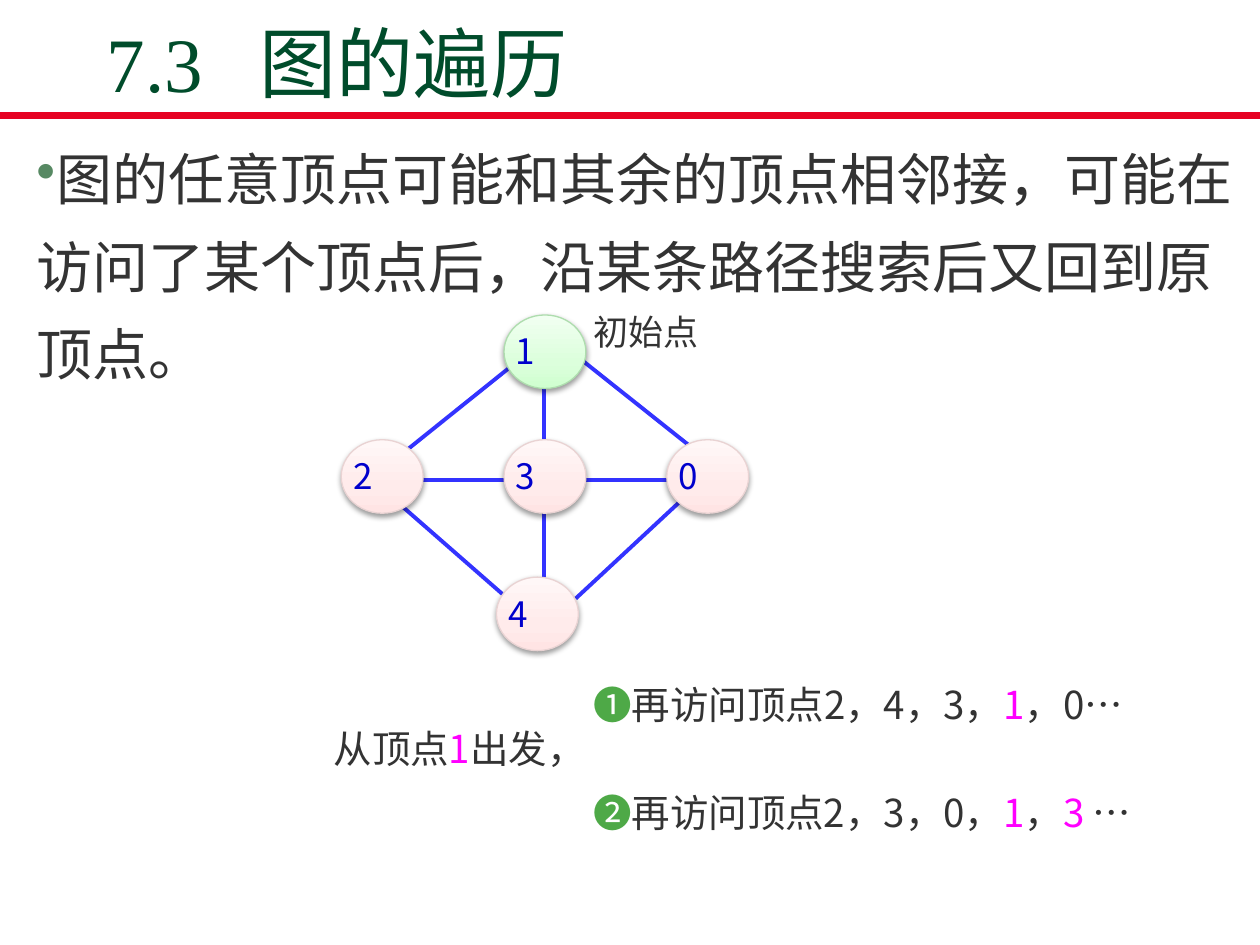
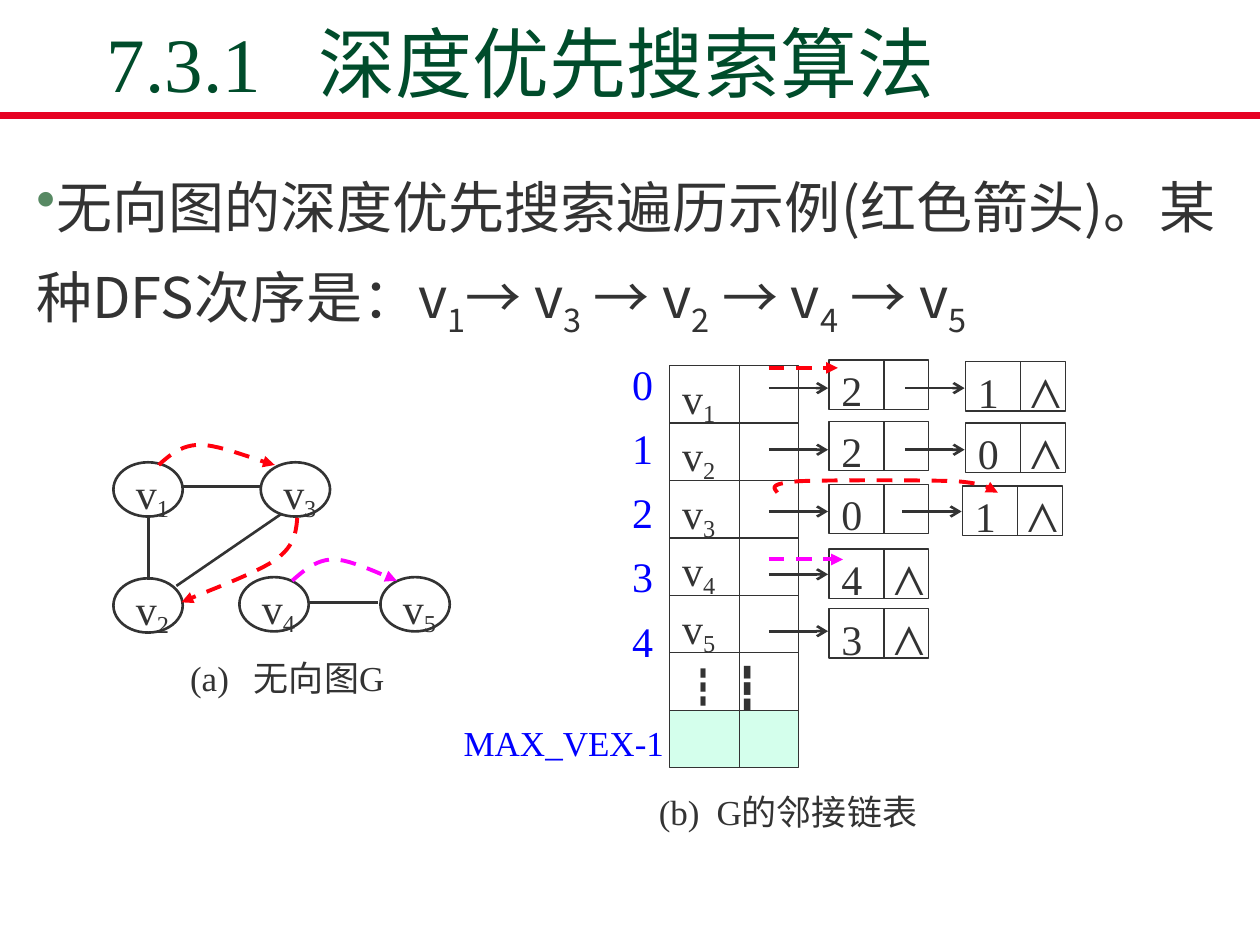
from copy import deepcopy

from lxml.etree import SubElement
from pptx import Presentation
from pptx.dml.color import RGBColor
from pptx.enum.dml import MSO_LINE
from pptx.enum.shapes import MSO_CONNECTOR, MSO_SHAPE
from pptx.enum.text import MSO_ANCHOR
from pptx.oxml.ns import qn
from pptx.util import Pt

INK = RGBColor(0x33, 0x33, 0x33)
TITLE_GREEN = RGBColor(0x00, 0x4C, 0x2B)
RULE_RED = RGBColor(0xE6, 0x02, 0x23)
EDGE_BLUE = RGBColor(0x33, 0x33, 0xFF)
LABEL_BLUE = RGBColor(0x00, 0x00, 0xCC)
INDEX_BLUE = RGBColor(0x00, 0x00, 0xFF)
MAGENTA = RGBColor(0xFF, 0x00, 0xFF)
STEP_GREEN = RGBColor(0x4E, 0xA9, 0x47)
ARROW_RED = RGBColor(0xFF, 0x00, 0x0D)
MINT = RGBColor(0xD4, 0xFF, 0xEC)
START_LINE = RGBColor(0xAE, 0xDD, 0xAE)
START_STOPS = [RGBColor(0xCF, 0xFF, 0xCF), RGBColor(0xDC, 0xFF, 0xDC), RGBColor(0xF1, 0xFF, 0xF1)]
NODE_LINE = RGBColor(0xE9, 0xD3, 0xD3)
NODE_STOPS = [RGBColor(0xFF, 0xE4, 0xE4), RGBColor(0xFF, 0xEB, 0xEB), RGBColor(0xFF, 0xF7, 0xF7)]
SANS = "Noto Sans CJK SC"
SERIF = "Times New Roman"


def write(shape, runs, size, name=SERIF, spacing=1.2, wrap=False, tab=None, bullet=False, drop=20):
    frame = shape.text_frame
    frame.word_wrap = wrap
    frame.vertical_anchor = MSO_ANCHOR.TOP if wrap else MSO_ANCHOR.MIDDLE
    paragraph = frame.paragraphs[0]
    if paragraph.runs:
        paragraph = frame.add_paragraph()
        paragraph.space_before = Pt(5)
    paragraph.line_spacing = spacing
    properties = paragraph._p.get_or_add_pPr()
    properties.set("algn", "l")
    if bullet:
        bullet_color = SubElement(properties, qn("a:buClr"))
        SubElement(bullet_color, qn("a:srgbClr"), val="578963")
        SubElement(properties, qn("a:buChar"), char="•")
    if tab:
        tabs = SubElement(properties, qn("a:tabLst"))
        SubElement(tabs, qn("a:tab"), pos=str(Pt(tab)), algn="l")
    paragraph.font.size = Pt(size)
    paragraph.font.name = name
    SubElement(properties.find(qn("a:defRPr")), qn("a:ea"), typeface=SANS)
    for text, color in runs:
        run = paragraph.add_run()
        run.text = text.lstrip("_")
        run.font.color.rgb = color
        if text.startswith("_"):
            run._r.get_or_add_rPr().set("baseline", str(-1000 * drop))


def style_line(shape, color, width, head=None, dashed=False):
    shape.line.color.rgb = color
    shape.line.width = Pt(width)
    if dashed:
        shape.line.dash_style = MSO_LINE.DASH
    properties = shape.element.spPr
    if head:
        SubElement(properties.find(qn("a:ln")), qn("a:tailEnd"), type=head)
    SubElement(properties, qn("a:effectLst"))


presentation = Presentation()
presentation.slide_width = Pt(720)
presentation.slide_height = Pt(540)

pages = [
    ("7.3\t图的遍历", 87.5, (13.7, 67.7, 698.4, 158.4),
     ["图的任意顶点可能和其余的顶点相邻接，可能在访问了某个顶点后，沿某条路径搜索后又回到原顶点。"]),
    ("7.3.1\t深度优先搜索算法", 121, (13.7, 83.5, 692, 108),
     ["无向图的深度优先搜索遍历示例(红色箭头)。某种DFS次序是：v", "_1", "→ v", "_3",
      " → v", "_2", " → v", "_4", " → v", "_5"]),
]
slides = []
for title_text, title_tab, body_box, body_parts in pages:
    slide = presentation.slides.add_slide(presentation.slide_layouts[6])
    slides.append(slide)
    rule = slide.shapes.add_connector(MSO_CONNECTOR.STRAIGHT, *map(Pt, (0, 66, 720, 66)))
    style_line(rule, RULE_RED, 4.5)
    title = slide.shapes.add_textbox(*map(Pt, (54, 18.2, 612, 46.8)))
    write(title, [(title_text, TITLE_GREEN)], 44, spacing=1.0, wrap=True, tab=title_tab)
    title.text_frame.vertical_anchor = MSO_ANCHOR.BOTTOM
    body = slide.shapes.add_textbox(*map(Pt, body_box))
    write(body, [(part, INK) for part in body_parts], 32, SANS, 1.3, wrap=True, bullet=True, drop=25)
traversal, depth_first = slides

edges = [
    (237.6, 274.3, 384.5, 274.3), (311, 221.8, 311, 349.2),
    (227.5, 287.3, 291.6, 343.4), (329, 342, 391, 284.4),
    (329, 203, 396, 256.3), (294.5, 207.4, 221, 266.4),
]
for edge in edges:
    connector = traversal.shapes.add_connector(MSO_CONNECTOR.STRAIGHT, *map(Pt, edge))
    style_line(connector, EDGE_BLUE, 2.25)

vertices = [("1", 288, 180), ("3", 288, 251.3), ("0", 381, 251.3), ("2", 195, 251.3), ("4", 283.7, 329.8)]
for label, left, top in vertices:
    vertex = traversal.shapes.add_shape(MSO_SHAPE.OVAL, *map(Pt, (left, top, 46.8, 42)))
    line_color, colors = (START_LINE, START_STOPS) if label == "1" else (NODE_LINE, NODE_STOPS)
    vertex.fill.gradient()
    vertex.fill.gradient_angle = 90
    first_stop = vertex.element.spPr.find(".//" + qn("a:gs"))
    first_stop.addnext(deepcopy(first_stop))
    for stop, color, position in zip(vertex.fill.gradient_stops, colors, (0, 0.35, 1)):
        stop.color.rgb = color
        stop.position = position
    style_line(vertex, line_color, 0.75)
    effects = vertex.element.spPr.find(qn("a:effectLst"))
    shadow = SubElement(effects, qn("a:outerShdw"), blurRad="40000", dist="20000", dir="5400000", rotWithShape="0")
    shadow_color = SubElement(shadow, qn("a:srgbClr"), val="000000")
    SubElement(shadow_color, qn("a:alpha"), val="38000")
    write(vertex, [(label, LABEL_BLUE)], 20, SANS, 0.72, wrap=True)
    frame = vertex.text_frame
    frame.margin_left = frame.margin_right = frame.margin_bottom = 0
    frame.margin_top = Pt(8.6)

notes = [
    ((183.6, 405.4, 148.3, 38.9), 22, [("从顶点", INK), ("1", MAGENTA), ("出发，", INK)]),
    ((332, 380.2, 344.9, 38.9), 22,
     [("❶", STEP_GREEN), ("再访问顶点2，4，3，", INK), ("1", MAGENTA), ("，0…", INK)]),
    ((332, 442, 352, 38.9), 22,
     [("❷", STEP_GREEN), ("再访问顶点2，3，0，", INK), ("1", MAGENTA), ("，", INK),
      ("3", MAGENTA), (" …", INK)]),
    ((332, 169.2, 84.2, 36), 20, [("初始点", INK)]),
]
for box, size, runs in notes:
    write(traversal.shapes.add_textbox(*map(Pt, box)), runs, size, SANS, wrap=True)

graph_nodes = [("1", 64.8, 264.2), ("2", 64.8, 330.5), ("3", 149, 264.2), ("4", 136.8, 329.8), ("5", 217.4, 329.8)]
for number, left, top in graph_nodes:
    node = depth_first.shapes.add_shape(MSO_SHAPE.OVAL, *map(Pt, (left, top, 39.6, 31)))
    node.fill.background()
    style_line(node, INK, 1.5)
    write(node, [("v", INK), ("_" + number, INK)], 24, drop=18)

graph_edges = [(85, 295.2, 85, 331.2), (100.8, 334.8, 160.6, 293.8),
               (104.4, 278, 149.8, 278), (176.4, 344.2, 216, 344.2)]
for edge in graph_edges:
    style_line(depth_first.shapes.add_connector(MSO_CONNECTOR.STRAIGHT, *map(Pt, edge)), INK, 1.5)

captions = [
    ((101.5, 372.2, 140, 25.2), "(a)\t无向图G", INK, 36.5),
    ((369.4, 448.6, 180, 25.2), "(b)\tG的邻接链表", INK, 33),
    ((257.8, 408.2, 124.6, 28), "MAX_VEX-1", INDEX_BLUE, None),
]
for box, text, color, tab in captions:
    caption = depth_first.shapes.add_textbox(*map(Pt, box))
    write(caption, [(text, color)], 20, tab=tab)
    caption.text_frame.margin_right = 0

indices = depth_first.shapes.add_textbox(*map(Pt, (354.2, 208, 28, 166.3)))
for index in range(5):
    write(indices, [(str(index), INDEX_BLUE)], 24, spacing=1.1)

ROW_HEIGHT = 32.85
for row in range(7):
    top = 208.8 + row * ROW_HEIGHT
    cell = depth_first.shapes.add_shape(MSO_SHAPE.RECTANGLE, *map(Pt, (382.7, top, 73.6, ROW_HEIGHT)))
    cell.fill.background()
    style_line(cell, INK, 0.75)
    if row < 5:
        write(cell, [("v", INK), (f"_{row + 1}", INK)], 24)
    elif row == 5:
        write(cell, [("┇", INK), (" ┇", INK)], 24)
        cell.text_frame.paragraphs[0].runs[0].font.name = SANS
    else:
        cell.fill.solid()
        cell.fill.fore_color.rgb = MINT
    divider = depth_first.shapes.add_connector(
        MSO_CONNECTOR.STRAIGHT, *map(Pt, (422.6, top, 422.6, top + ROW_HEIGHT)))
    style_line(divider, INK, 0.75)

adjacency_lists = [(205.7, 221.8, 78, "21"), (240.7, 257, 78, "20"), (276.8, 292.3, 76.3, "01"),
                   (313.7, 328.2, 78, "4"), (347.8, 360.7, 78, "3")]
for list_top, arrow_y, pitch, values in adjacency_lists:
    for position, value in enumerate(values):
        left = 473.7 + position * pitch
        top = list_top + position
        node = depth_first.shapes.add_shape(MSO_SHAPE.RECTANGLE, *map(Pt, (left, top, 57, 28.2)))
        node.fill.background()
        style_line(node, INK, 0.75)
        is_last = position == len(values) - 1
        write(node, [(value + "\t⋀" if is_last else value, INK)], 24, tab=30)
        divider = depth_first.shapes.add_connector(
            MSO_CONNECTOR.STRAIGHT, *map(Pt, (left + 31.5, top, left + 31.5, top + 28.2)))
        style_line(divider, INK, 0.75)
        pointer = depth_first.shapes.add_connector(
            MSO_CONNECTOR.STRAIGHT, *map(Pt, (left - 34.3, arrow_y, left - 0.5, arrow_y)))
        style_line(pointer, INK, 1.5, "arrow")

for arrow, color in [((439.2, 210.2, 478.8, 210.2), ARROW_RED), ((439.2, 319.7, 481.7, 319.7), MAGENTA)]:
    connector = depth_first.shapes.add_connector(MSO_CONNECTOR.STRAIGHT, *map(Pt, arrow))
    style_line(connector, color, 2.25, "triangle", True)

visit_curves = [
    (ARROW_RED, [(90.7, 265.7), (97.2, 259.9), (103.7, 254.2), (114.5, 254.2),
                 (126, 254.2), (149.8, 264.2), (157, 265.7)]),
    (ARROW_RED, [(169.9, 295.9), (169.2, 303.8), (168.5, 311.8), (157.7, 319.7),
                 (146.9, 327.6), (113, 339.8), (103.7, 344.2)]),
    (MAGENTA, [(167, 331.9), (173.5, 326.2), (180.7, 319.7), (190.8, 319.7),
               (200.9, 319.7), (221, 329.8), (226.8, 331.9)]),
    (ARROW_RED, [(444.2, 281.5), (442.1, 278.6), (439.2, 276.5), (456.5, 275),
                 (473, 274.3), (527, 274.3), (546.5, 275),
                 (565.2, 276.5), (566.6, 280.1), (570.2, 281.5)]),
]
STEPS = 12
for color, points in visit_curves:
    builder = depth_first.shapes.build_freeform(*map(Pt, points[0]))
    for start in range(0, len(points) - 1, 3):
        segment = points[start:start + 4]
        samples = []
        for step in range(1, STEPS + 1):
            t = step / STEPS
            weights = ((1 - t) ** 3, 3 * t * (1 - t) ** 2, 3 * t ** 2 * (1 - t), t ** 3)
            samples.append([Pt(sum(w * c for w, c in zip(weights, axis))) for axis in zip(*segment)])
        builder.add_line_segments(samples, close=False)
    curve = builder.convert_to_shape()
    curve.fill.background()
    style_line(curve, color, 2.25, "triangle", True)

presentation.save("out.pptx")
